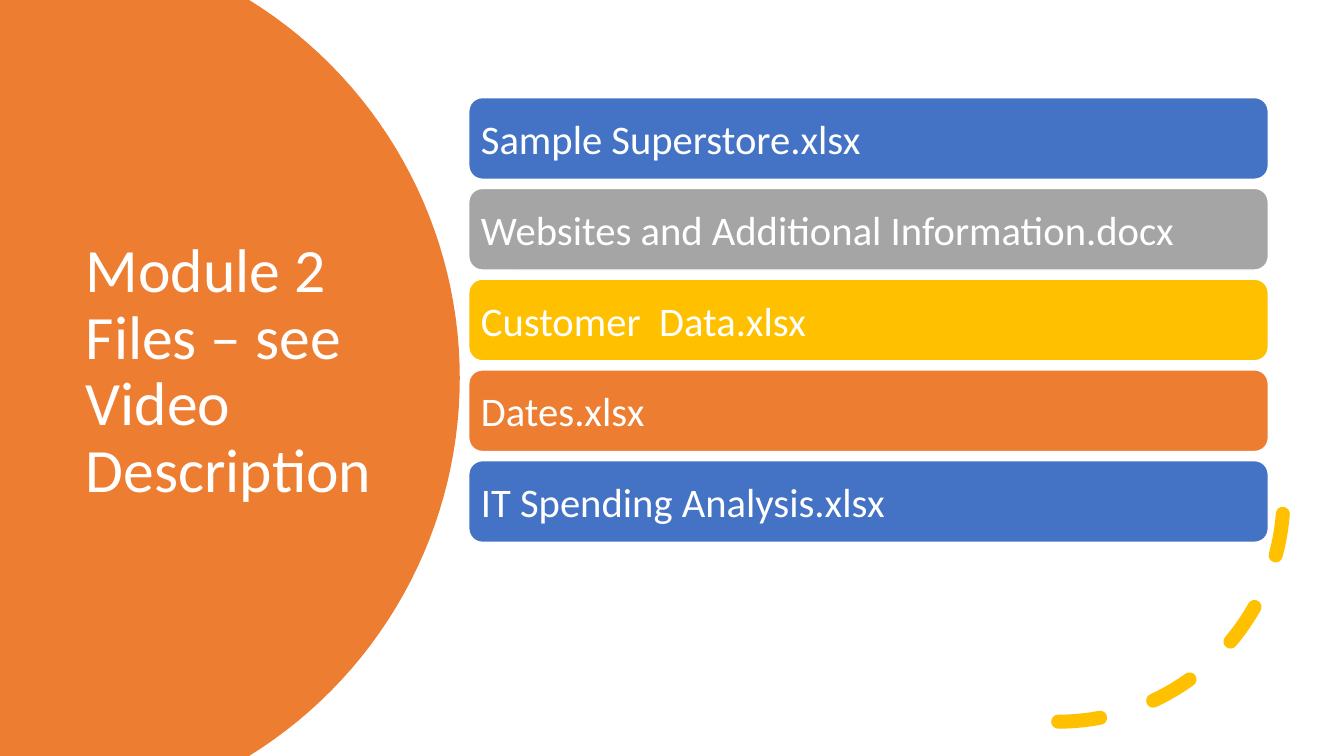
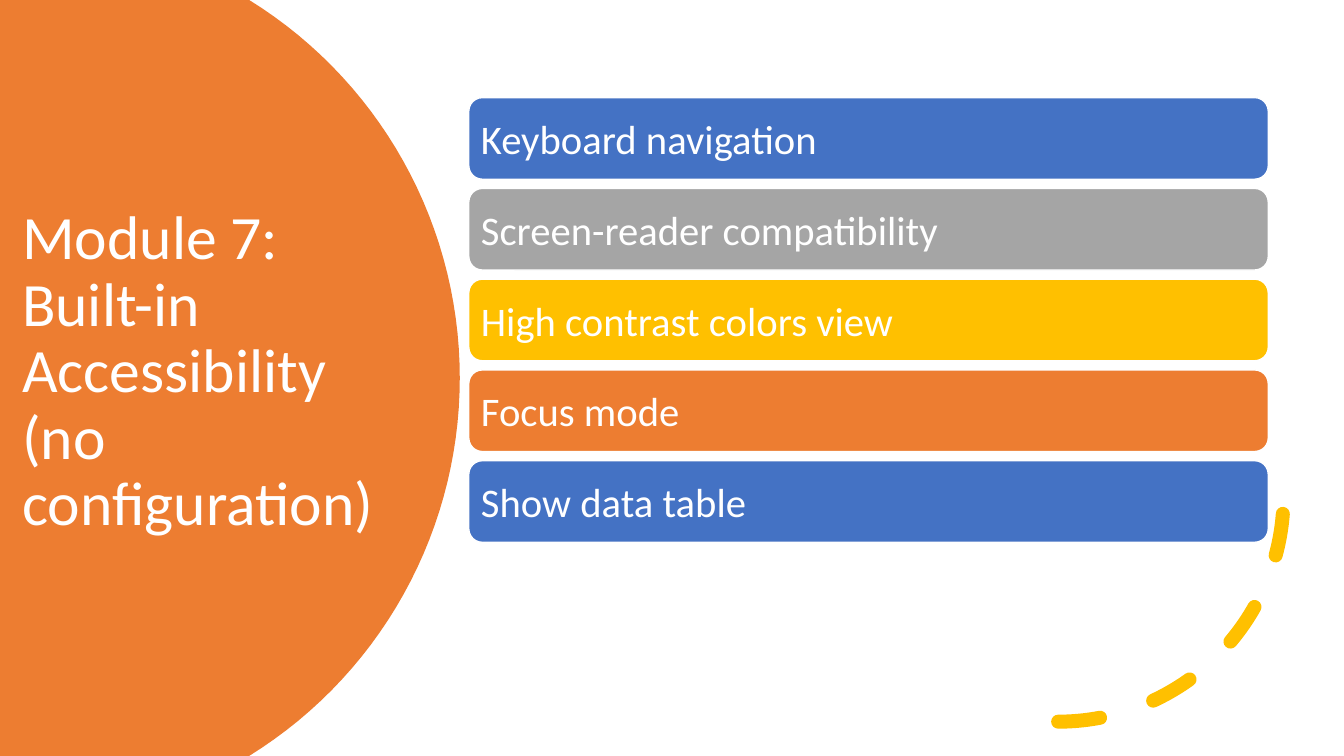
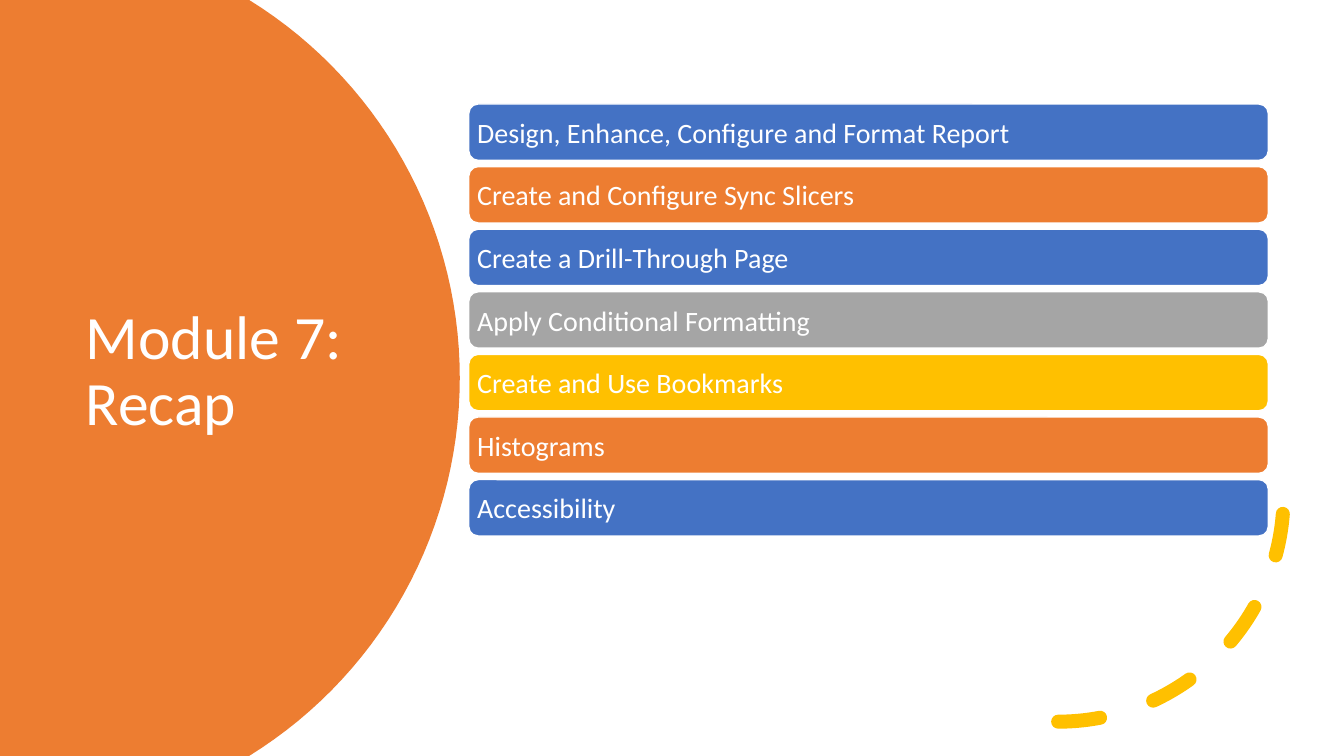
import dataclasses
import math

import pptx
import pptx.dml.color
import pptx.enum.dml
import pptx.enum.shapes
import pptx.enum.text
import pptx.oxml.ns
import pptx.util


@dataclasses.dataclass(frozen=True)
class Theme:
    font: str = "Calibri"
    white: str = "FFFFFF"
    blue: str = "4472C4"
    orange: str = "ED7D31"
    gray: str = "A5A5A5"
    gold: str = "FFC000"
    title_size: int = 44
    large_size: int = 29
    small_size: int = 20


THEME = Theme()
FIVE_COLORS = (THEME.blue, THEME.gray, THEME.gold, THEME.orange, THEME.blue)
SEVEN_COLORS = (THEME.blue, THEME.orange) + FIVE_COLORS

SLIDES = [
    ("Module 2 Files – see Video Description", 5.63, THEME.large_size, FIVE_COLORS,
     ["Sample Superstore.xlsx", "Websites and Additional Information.docx",
      "Customer  Data.xlsx", "Dates.xlsx", "IT Spending Analysis.xlsx"]),
    ("Module 7: Built-in Accessibility (no configuration)", 0.9,
     THEME.large_size, FIVE_COLORS,
     ["Keyboard navigation", "Screen-reader compatibility",
      "High contrast colors view", "Focus mode", "Show data table"]),
    ("Module 7: Recap", 5.63, THEME.small_size, SEVEN_COLORS,
     ["Design, Enhance, Configure and Format Report",
      "Create and Configure Sync Slicers", "Create a Drill-Through Page",
      "Apply Conditional Formatting", "Create and Use Bookmarks",
      "Histograms", "Accessibility"]),
]


class Deck:
    """Draws on the current slide; lengths are percentages of its size."""

    def __init__(self, theme):
        self.theme = theme
        self.presentation = pptx.Presentation()
        self.presentation.slide_width = pptx.util.Inches(13.33)
        self.presentation.slide_height = pptx.util.Inches(7.5)
        self.slide = None

    def across(self, share):
        return round(self.presentation.slide_width * share / 100)

    def down(self, share):
        return round(self.presentation.slide_height * share / 100)

    def color(self, code):
        return pptx.dml.color.RGBColor.from_string(code)

    def fill(self, shape, code):
        shape.shadow.inherit = False
        shape.fill.solid()
        shape.fill.fore_color.rgb = self.color(code)

    def outline(self, shape, code, points):
        shape.line.color.rgb = self.color(code)
        shape.line.width = pptx.util.Pt(points)

    def add_text(self, shape, text, size):
        frame = shape.text_frame
        frame.word_wrap = True
        frame.auto_size = pptx.enum.text.MSO_AUTO_SIZE.NONE
        frame.vertical_anchor = pptx.enum.text.MSO_ANCHOR.MIDDLE
        paragraph = frame.paragraphs[0]
        paragraph.alignment = pptx.enum.text.PP_ALIGN.LEFT
        run = paragraph.add_run()
        run.text = text
        run.font.name = self.theme.font
        run.font.size = pptx.util.Pt(size)
        run.font.color.rgb = self.color(self.theme.white)
        return paragraph

    def start_slide(self, title, title_left):
        layout = self.presentation.slide_layouts.get_by_name("Title Only")
        self.slide = self.presentation.slides.add_slide(layout)
        self.title(title, title_left)
        self.round_panel()
        self.dashed_arc()

    def title(self, text, left, right=31.88):
        title = self.slide.shapes.title
        title.left, title.top = self.across(left), self.down(16.8)
        title.width, title.height = self.across(right - left), self.down(65)
        self.add_text(title, text, self.theme.title_size).line_spacing = 0.9

    def round_panel(self, steps=60):
        """Fills the left edge up to a circle, behind the title."""
        center_x, center_y = self.across(1.13), self.down(50)
        radius = self.down(58.8)
        reach = math.asin(center_y / radius)
        angles = [reach * (2 * step / steps - 1) for step in range(steps + 1)]
        rim = [(center_x + radius * math.cos(angle),
                center_y + radius * math.sin(angle)) for angle in angles]
        builder = self.slide.shapes.build_freeform(0, 0)
        builder.add_line_segments(rim + [(0, self.down(100))], close=True)
        panel = builder.convert_to_shape()
        self.fill(panel, self.theme.orange)
        panel.line.fill.background()
        self.slide.shapes.title.element.addprevious(panel.element)

    def dashed_arc(self):
        diameter = self.down(59.6)
        arc = self.slide.shapes.add_shape(
            pptx.enum.shapes.MSO_SHAPE.ARC,
            self.across(61.97), self.down(35.87), diameter, diameter)
        arc.shadow.inherit = False
        arc.fill.background()
        self.outline(arc, self.theme.gold, 10)
        arc.line.dash_style = pptx.enum.dml.MSO_LINE.DASH
        properties = arc.element.spPr
        properties.find(pptx.oxml.ns.qn("a:xfrm")).set("flipV", "1")
        properties.find(pptx.oxml.ns.qn("a:ln")).set("cap", "rnd")

    def bars(self, labels, colors, size, middle=42.33):
        """Stacks bars around a middle line, spaced in step with the text size."""
        pitch = size * 0.414
        height = pitch * 0.9
        top = middle - (pitch * (len(labels) - 1) + height) / 2
        for row, (label, color) in enumerate(zip(labels, colors)):
            bar = self.slide.shapes.add_shape(
                pptx.enum.shapes.MSO_SHAPE.ROUNDED_RECTANGLE,
                self.across(34.88), self.down(top + row * pitch),
                self.across(59.49), self.down(height))
            self.fill(bar, color)
            self.outline(bar, self.theme.white, 1)
            frame = bar.text_frame
            frame.margin_left = frame.margin_right = self.down(height * 0.1)
            frame.margin_top = frame.margin_bottom = self.down(height * 0.1)
            self.add_text(bar, label, size)


def main():
    deck = Deck(THEME)
    for title, title_left, size, colors, labels in SLIDES:
        deck.start_slide(title, title_left)
        deck.bars(labels, colors, size)
    deck.presentation.save("out.pptx")


if __name__ == "__main__":
    main()
